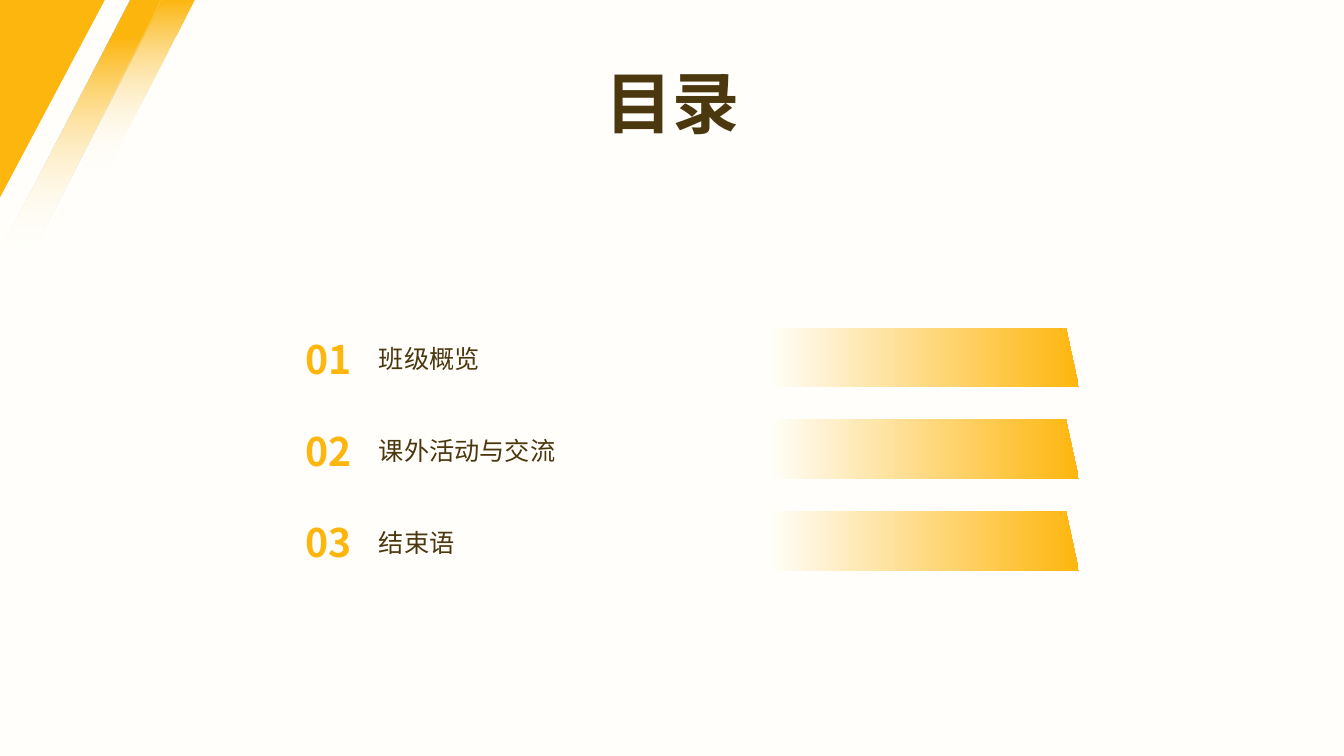
from lxml.etree import SubElement
from pptx import Presentation
from pptx.dml.color import RGBColor
from pptx.enum.shapes import MSO_SHAPE as Shape
from pptx.enum.text import MSO_ANCHOR as Anchor, MSO_AUTO_SIZE as Fit, PP_ALIGN as Align
from pptx.oxml.ns import qn
from pptx.util import Inches, Pt

WIDE, HIGH = 13.33, 7.5
FONT = "Noto Sans CJK SC"
GOLD, BROWN, CREAM, WHITE = "FDB60E", "4C380F", "FFFEFA", "FFFFFF"
TOPICS = ["班级概览", "课外活动与交流", "结束语"]


def paint(fill, tint):
    fill.solid()
    fill.fore_color.rgb = RGBColor.from_string(tint)


def blend(shape, stops, angle, fade=False):
    """Fill with two (share, colour) stops; fade makes the last one clear."""
    shape.fill.gradient()
    shape.fill.gradient_angle = angle
    for stop, (share, tint) in zip(shape.fill.gradient_stops, stops):
        stop.position = share
        stop.color.rgb = RGBColor.from_string(tint)
    if fade:
        last = list(shape.element.iter(qn("a:srgbClr")))[-1]
        SubElement(last, qn("a:alpha"), val="0")


def plain(shape):
    shape.shadow.inherit = False
    shape.line.fill.background()
    return shape


def flip(shape, axis):
    shape.element.spPr.find(qn("a:xfrm")).set(axis, "1")


def write(shape, text, size, tint, bold=False, align=Align.LEFT, anchor=Anchor.MIDDLE):
    frame = shape.text_frame
    frame.word_wrap, frame.auto_size = True, Fit.NONE
    frame.vertical_anchor = anchor
    par = frame.paragraphs[0]
    par.alignment = align
    run = par.add_run()
    run.text = text
    font = run.font
    font.size, font.bold, font.name = Pt(size), bold, FONT
    font.color.rgb = RGBColor.from_string(tint)
    SubElement(font._element, qn("a:ea"), typeface=FONT)


def band(shapes, points, start):
    """Slanted stripe fading downwards; points in hundredths of an inch."""
    pen = shapes.build_freeform(*points[0], scale=Inches(0.01))
    pen.add_line_segments(points[1:])
    blend(plain(pen.convert_to_shape()), [(start, GOLD), (1, WHITE)], 270, fade=True)


def corner(shapes, wide, high):
    band(shapes, [(33, 248), (0, 247), (129, 0), (161, 0)], 0.15)
    wedge = plain(shapes.add_shape(Shape.RIGHT_TRIANGLE, 0, 0, Inches(wide), Inches(high)))
    flip(wedge, "flipV")
    paint(wedge.fill, GOLD)
    band(shapes, [(160, 0), (193, 0), (106, 169), (75, 167)], 0)


def head(title, left, top, wide, high):
    title.left, title.top = Inches(left), Inches(top)
    title.width, title.height = Inches(wide), Inches(high)
    write(title, "目录", 48, BROWN, bold=True, align=Align.CENTER, anchor=Anchor.TOP)


def entry(shapes, left, top, wide, high, number, topic):
    """One row: fading bar, topic and number."""
    parts = shapes.add_group_shape().shapes
    bar = plain(parts.add_shape(Shape.PARALLELOGRAM, Inches(left), Inches(top),
                                Inches(wide), Inches(high)))
    bar.adjustments[0] = 0.217
    flip(bar, "flipH")
    blend(bar, [(0.62, CREAM), (1, GOLD)], 180)
    label = parts.add_textbox(Inches(left + 1.04), Inches(top - 0.04),
                              Inches(wide - 1.03), Inches(0.7))
    write(label, topic, 18, BROWN)
    count = parts.add_textbox(Inches(left + 0.31), Inches(top + 0.01),
                              Inches(0.69), Inches(0.6))
    write(count, f"{number:02}", 28, GOLD, bold=True)


def agenda(shapes, left, top, wide, high, pitch):
    for row, topic in enumerate(TOPICS):
        entry(shapes, left, top + row * pitch, wide, high, row + 1, topic)


def main():
    deck = Presentation()
    deck.slide_width, deck.slide_height = Inches(WIDE), Inches(HIGH)
    slide = deck.slides.add_slide(deck.slide_layouts[5])
    paint(slide.background.fill, CREAM)
    corner(slide.shapes, 1.04, 1.96)
    head(slide.shapes.title, 5.8, 0.56, 1.74, 1.01)
    agenda(slide.shapes, 2.62, 3.25, 8.08, 0.59, 0.91)
    deck.save("out.pptx")


if __name__ == "__main__":
    main()
